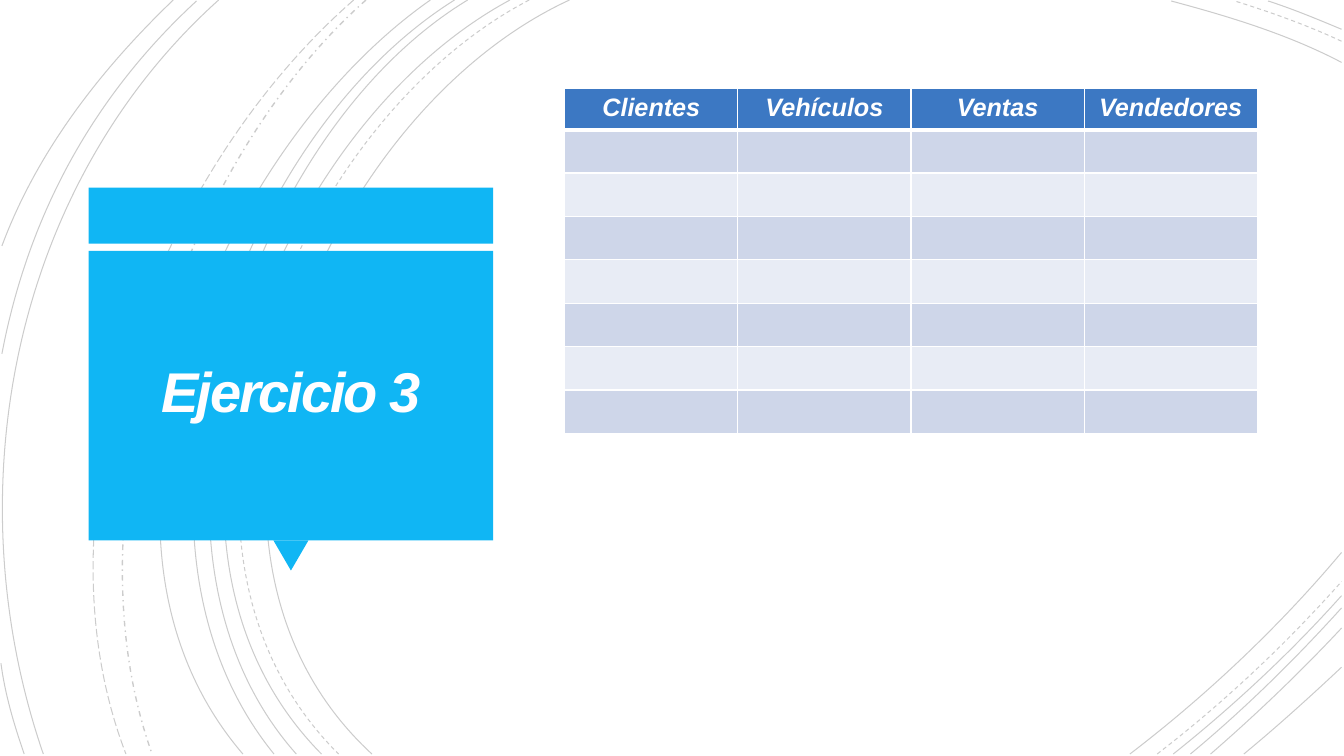
from lxml.etree import SubElement
from pptx import Presentation
from pptx.dml.color import RGBColor
from pptx.enum.dml import MSO_LINE_DASH_STYLE as Dash
from pptx.enum.shapes import MSO_SHAPE as Shape
from pptx.enum.text import MSO_ANCHOR as Anchor, PP_ALIGN as Align
from pptx.oxml.ns import qn
from pptx.util import Pt

WIDTH, HEIGHT = 960, 540
FOOT, EDGE = 538.6, 958.3  # where the arcs stop at the bottom and on the right
CYAN, WHITE, BLACK = "10B6F4", "FFFFFF", "000000"
HEADER_BLUE, BANDS = "3C78C3", ("CED6E9", "E8ECF5")
FIELDS = ("Clientes", "Vehículos", "Ventas", "Vendedores")
EMPTY_ROWS = 7

# Top x, first control point, second control point, bottom x, dash
LEFT_ARCS = [
    (406.8, (226.8, 82.8), (103, 388.8), 265.7, Dash.SOLID),
    (378, (205.2, 90), (88.6, 386.6), 241.9, Dash.DASH),
    (364.3, (194.4, 91.4), (79.2, 386.6), 229.7, Dash.SOLID),
    (334.1, (175.7, 95.8), (79.2, 389.5), 211.7, Dash.SOLID),
    (324.7, (166.3, 99.4), (69.8, 383.8), 195.8, Dash.SOLID),
    (307.4, (156.2, 105.8), (38.2, 380.9), 173.5, Dash.SOLID),
    (261.4, (126.7, 119.5), (46.8, 366.5), 108.7, Dash.DASH_DOT),
    (252.7, (113, 121.7), (20.9, 359.3), 90, Dash.LONG_DASH),
    (156.2, (7.9, 133.2), (-33.1, 352.8), 31, Dash.SOLID),
]
# Start, two control points, end
LEFT_EDGE_ARCS = [
    ((140.4, 0.7), (66.2, 69.1), (20.2, 154.1), (1.4, 252.7)),
    ((0.7, 473.8), (3.6, 496.1), (10.1, 517.7), (17.3, FOOT)),
    ((123.8, 0), (72, 49.7), (26.6, 108), (1.4, 175.7)),
]
# Right y, two control points, top x, dash
TOP_RIGHT_ARCS = [
    (44.6, (920.2, 24.5), (877, 11.5), 836.6, Dash.SOLID),
    (29.5, (933.8, 18), (907.2, 8.6), 882, Dash.DASH),
    (20.9, (941, 13.7), (923.8, 6.5), 905.8, Dash.SOLID),
]
# Bottom x, two control points, right y, dash
BOTTOM_RIGHT_ARCS = [
    (807.1, (861.8, 496.8), (913.7, 447.8), 394.6, Dash.SOLID),
    (826.6, (873.4, 502.6), (918, 460.8), 415.4, Dash.DASH),
    (838.1, (880.6, 504.7), (921.6, 466.6), 425.5, Dash.SOLID),
    (850.3, (888.5, 506.9), (924.5, 471.6), 434.2, Dash.SOLID),
    (864.7, (897.1, 510.5), (928.8, 480.2), 448.6, Dash.SOLID),
    (888.5, (912.2, 519.1), (935.3, 498.2), 476.6, Dash.SOLID),
]


def color(hex_value):
    return RGBColor.from_string(hex_value)


def write(frame, text, size=18, ink=WHITE, spacing=None, tracking=None):
    """Put centred bold italic Arial text into a text frame."""
    paragraph = frame.paragraphs[0]
    paragraph.alignment = Align.CENTER
    if spacing:
        paragraph.line_spacing = spacing
    run = paragraph.add_run()
    run.text = text
    font = run.font
    font.name, font.size, font.bold, font.italic = "Arial", Pt(size), True, True
    font.color.rgb = color(ink)
    if tracking:
        run._r.get_or_add_rPr().set("spc", str(round(tracking * 100)))


def add_arc(slide, origin, points, dash=Dash.SOLID):
    """Draw one faint cubic curve through start, two controls and end."""
    start, *rest = [(Pt(origin[0] + x), Pt(origin[1] + y)) for x, y in points]
    builder = slide.shapes.build_freeform(*start)
    builder.add_line_segments(rest, close=False)
    arc = builder.convert_to_shape()
    arc.shadow.inherit = False
    arc.fill.background()
    line = arc.line
    line.color.rgb = color(BLACK)
    line.width = Pt(1 if dash == Dash.DASH_DOT else 0.75)
    line.dash_style = dash
    tint = arc._element.spPr.find(".//" + qn("a:ln")).find(".//" + qn("a:srgbClr"))
    SubElement(tint, qn("a:alpha"), val="20000")
    # Turn the three straight segments into one curve
    outline = arc._element.spPr.find(".//" + qn("a:path"))
    segments = outline.findall(qn("a:lnTo"))
    curve = SubElement(outline, qn("a:cubicBezTo"))
    for segment in segments:
        curve.append(segment[0])
        outline.remove(segment)


def add_backdrop(slide, left, top):
    origin = (left, top)
    for head, first, second, foot, dash in LEFT_ARCS:
        add_arc(slide, origin, ((head, 0), first, second, (foot, FOOT)), dash)
    for points in LEFT_EDGE_ARCS:
        add_arc(slide, origin, points)
    for side, first, second, head, dash in TOP_RIGHT_ARCS:
        add_arc(slide, origin, ((EDGE, side), first, second, (head, 0.7)), dash)
    for foot, first, second, side, dash in BOTTOM_RIGHT_ARCS:
        add_arc(slide, origin, ((foot, FOOT), first, second, (EDGE, side)), dash)


def add_block(slide, preset, left, top, width, height):
    block = slide.shapes.add_shape(preset, Pt(left), Pt(top), Pt(width), Pt(height))
    block.shadow.inherit = False
    block.fill.solid()
    block.fill.fore_color.rgb = color(CYAN)
    block.line.fill.background()
    return block


def add_title_panel(slide, left, top, width, height):
    strip, gap, pointer_w, pointer_h, inset = 40, 5.3, 25, 21.5, 6.3
    body_top = top + strip + gap
    body = height - strip - gap - pointer_h
    # Strip, downward pointer and body
    add_block(slide, Shape.RECTANGLE, left, top, width, strip)
    pointer = add_block(slide, Shape.ISOSCELES_TRIANGLE,
                        left + (width - pointer_w) / 2, body_top + body,
                        pointer_w, pointer_h)
    pointer.rotation = 180
    add_block(slide, Shape.RECTANGLE, left, body_top, width, body)
    # Title
    title = slide.shapes.add_textbox(Pt(left + inset), Pt(body_top + inset),
                                     Pt(width - 2 * inset), Pt(body - 2 * inset))
    frame = title.text_frame
    frame.word_wrap = True
    frame.vertical_anchor = Anchor.MIDDLE
    frame.margin_left = frame.margin_right = Pt(18)
    frame.margin_top = frame.margin_bottom = Pt(18)
    write(frame, "Ejercicio 3", size=40, ink="FFFEFF", spacing=0.85, tracking=-1.5)


def style_cell(cell, fill, bottom=1, top=1):
    cell.margin_left = cell.margin_right = Pt(4.5)
    cell.margin_top = cell.margin_bottom = Pt(3.6)
    properties = cell._tc.get_or_add_tcPr()
    for side, width in (("L", 1), ("R", 1), ("T", top), ("B", bottom)):
        border = SubElement(properties, qn("a:ln" + side), w=str(Pt(width)))
        paint = SubElement(border, qn("a:solidFill"))
        SubElement(paint, qn("a:srgbClr"), val=WHITE)
    cell.fill.solid()
    cell.fill.fore_color.rgb = color(fill)


def add_records(slide, left, top, width, header_height, row_height):
    height = header_height + EMPTY_ROWS * row_height
    records = slide.shapes.add_table(EMPTY_ROWS + 1, len(FIELDS), Pt(left), Pt(top),
                                     Pt(width), Pt(height)).table
    records.horz_banding = False
    for column in records.columns:
        column.width = Pt(width / len(FIELDS))
    for index, row in enumerate(records.rows):
        row.height = Pt(row_height if index else header_height)
        for field, cell in zip(FIELDS, row.cells):
            if index:
                style_cell(cell, BANDS[(index - 1) % 2], top=3 if index == 1 else 1)
            else:
                style_cell(cell, HEADER_BLUE, bottom=3)
                write(cell.text_frame, field)


deck = Presentation()
deck.slide_width, deck.slide_height = Pt(WIDTH), Pt(HEIGHT)
exercise = deck.slides.add_slide(deck.slide_layouts[6])
add_backdrop(exercise, 0, 0)
add_title_panel(exercise, 63.3, 134, 289, 273.5)
add_records(exercise, 403.4, 63.4, 494.8, 29.2, 31)
deck.save("out.pptx")
